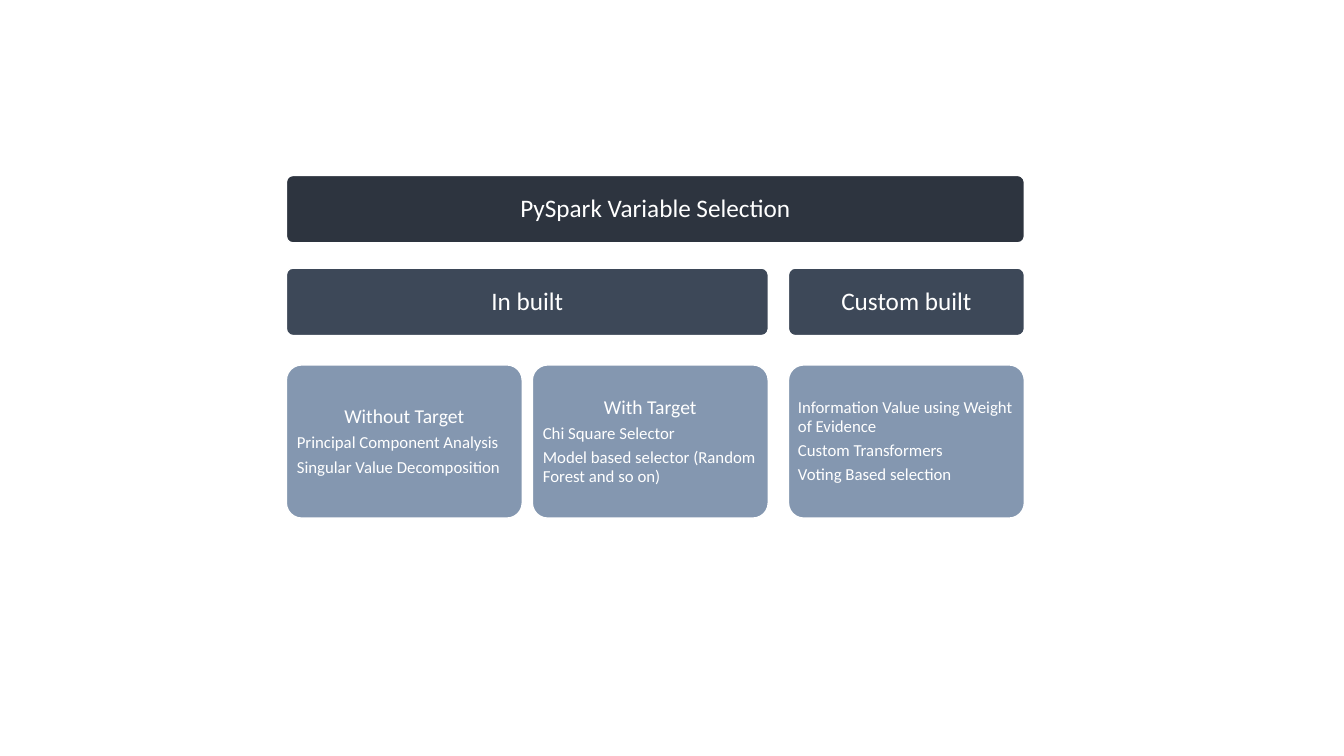
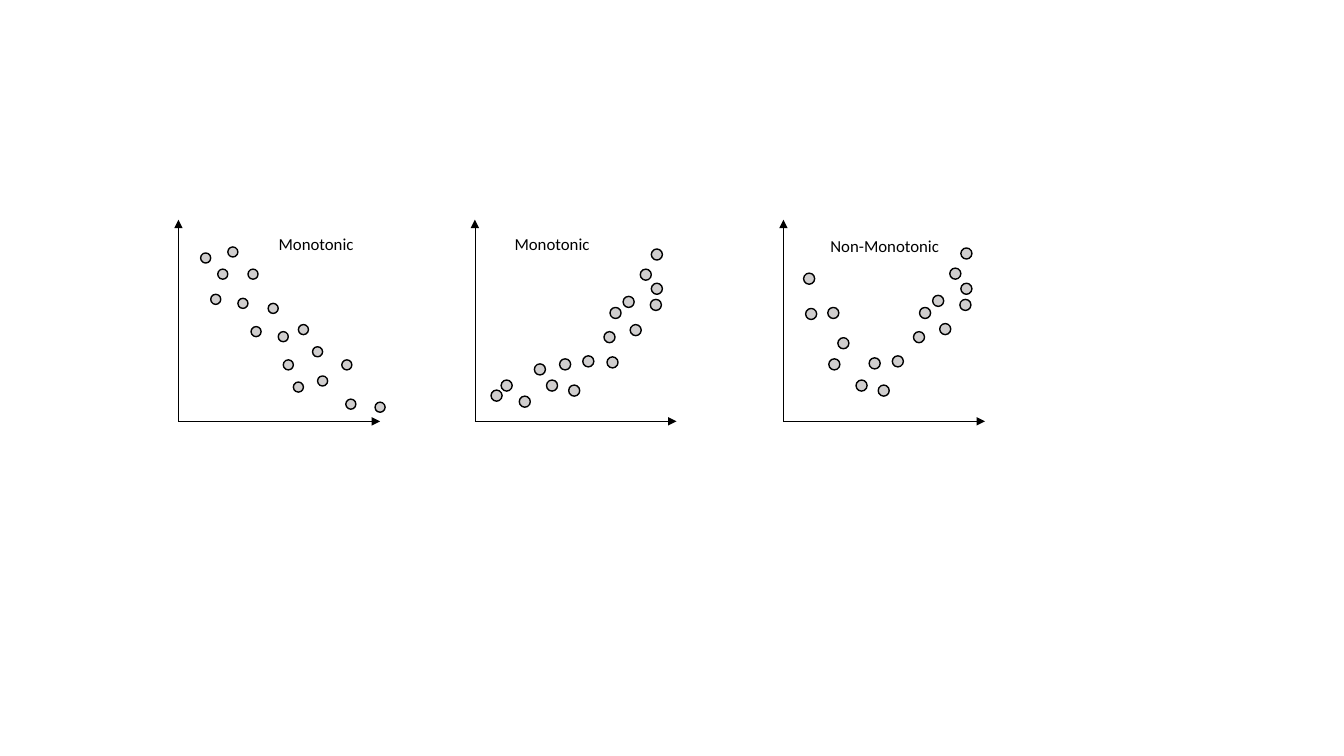
import pptx
import pptx.util
import pptx.dml.color
import pptx.enum.shapes
import pptx.enum.text
import lxml.etree

C = {"top": "222A35", "group": "333F50", "leaf": "8497B0",
     "white": "FFFFFF", "black": "000000", "dot": "D0CECE"}
FONT = "Calibri"
A = "{http://schemas.openxmlformats.org/drawingml/2006/main}"
SHAPE = pptx.enum.shapes.MSO_SHAPE
ALIGN = pptx.enum.text.PP_ALIGN
Inches, Pt = pptx.util.Inches, pptx.util.Pt
RGB = pptx.dml.color.RGBColor.from_string


def add_shape(s, kind, x, y, w, h, fill, line):
    sp = s.shapes.add_shape(kind, Inches(x), Inches(y), Inches(w), Inches(h))
    sp.shadow.inherit = False
    sp.fill.solid()
    sp.fill.fore_color.rgb = RGB(C[fill])
    sp.line.color.rgb = RGB(C[line])
    sp.line.width = Pt(1)
    return sp


def add_text(p, text, size, color, align):
    p.alignment = align
    r = p.add_run()
    r.text = text
    r.font.size = Pt(size)
    r.font.name = FONT
    r.font.color.rgb = RGB(C[color])


prs = pptx.Presentation()
prs.slide_width, prs.slide_height = Inches(13.33), Inches(7.5)
blank = prs.slide_layouts[6]

s = prs.slides.add_slide(blank)
COL_W = 2.34
COL_X = [2.84, 5.28, 7.82]
ROWS = [(1.74, 0.67), (2.66, 0.67), (3.62, 1.52)]
HEAD, SUB, ITEM = 18, 14, 12
boxes = [
    (0, 0, 2, "top", 0.07, [("PySpark Variable Selection", HEAD)]),
    (1, 0, 1, "group", 0.07, [("In built", HEAD)]),
    (1, 2, 2, "group", 0.07, [("Custom built", HEAD)]),
    (2, 0, 0, "leaf", 0.06, [("Without Target", SUB),
                             ("Principal Component Analysis", ITEM),
                             ("Singular Value Decomposition", ITEM)]),
    (2, 1, 1, "leaf", 0.06, [("With Target", SUB),
                             ("Chi Square Selector", ITEM),
                             ("Model based selector (Random Forest and so on)", ITEM)]),
    (2, 2, 2, "leaf", 0.05, [("Information Value using Weight of Evidence", ITEM),
                             ("Custom Transformers", ITEM),
                             ("Voting Based selection", ITEM)]),
]
for row, first, last, fill, inset, lines in boxes:
    y, h = ROWS[row]
    x = COL_X[first]
    sp = add_shape(s, SHAPE.ROUNDED_RECTANGLE, x, y, COL_X[last] + COL_W - x, h, fill, "white")
    sp.adjustments[0] = 0.1
    if fill != "leaf":
        color = sp.fill._xPr.find(f"{A}solidFill/{A}srgbClr")
        lxml.etree.SubElement(color, f"{A}alpha", val="95000")
    tf = sp.text_frame
    tf.word_wrap = True
    tf.vertical_anchor = pptx.enum.text.MSO_ANCHOR.MIDDLE
    tf.margin_left = tf.margin_right = tf.margin_top = tf.margin_bottom = Inches(inset)
    for i, (text, size) in enumerate(lines):
        p = tf.add_paragraph() if i else tf.paragraphs[0]
        p.line_spacing = 0.9
        p.space_after = Pt(0.35 * size)
        add_text(p, text, size, "white", ALIGN.LEFT if size == ITEM else ALIGN.CENTER)

s = prs.slides.add_slide(blank)
AXIS = 2
STEP = AXIS / 200
TOP = 2.18
LABEL_W, LABEL_H = 2.15, 0.3
plots = [
    (1.77, 0.1, "Monotonic", 2.06, 2.27,
     [(22, 33), (39, 49), (59, 78), (89, 83), (72, 106), (99, 111),
      (104, 139), (114, 161), (133, 126), (119, 104), (49, 27), (32, 74),
      (69, 49), (162, 139), (138, 155), (166, 178), (195, 181)]),
    (4.71, 0.11, "Monotonic", 4.4, 2.27,
     [(16, 169), (71, 159), (84, 138), (107, 135), (131, 136), (59, 143),
      (147, 76), (175, 29), (154, 104), (134, 87), (44, 175), (26, 159),
      (93, 164), (174, 79), (164, 49), (128, 111), (175, 63)]),
    (7.77, 0.11, "Non-Monotonic", 7.7, 2.29,
     [(20, 53), (72, 159), (85, 137), (108, 135), (45, 138), (54, 117),
      (148, 75), (176, 28), (155, 103), (135, 87), (22, 88), (44, 87),
      (94, 164), (175, 79), (165, 48), (129, 111), (176, 63)]),
]
for left, size, label, label_x, label_y, dots in plots:
    base = TOP + AXIS
    for end_x, end_y in [(left, TOP), (left + AXIS, base)]:
        cx = s.shapes.add_connector(pptx.enum.shapes.MSO_CONNECTOR.STRAIGHT,
                                    Inches(left), Inches(base), Inches(end_x), Inches(end_y))
        cx.line.color.rgb = RGB(C["black"])
        cx.line.width = Pt(0.5)
        lxml.etree.SubElement(cx.line._get_or_add_ln(), f"{A}tailEnd", type="triangle")
        lxml.etree.SubElement(cx._element.spPr, f"{A}effectLst")
    for dx, dy in dots:
        add_shape(s, SHAPE.OVAL, left + dx * STEP, TOP + dy * STEP, size, size, "dot", "black")
    tb = s.shapes.add_textbox(Inches(label_x), Inches(label_y), Inches(LABEL_W), Inches(LABEL_H))
    tf = tb.text_frame
    tf.word_wrap = True
    tf.auto_size = pptx.enum.text.MSO_AUTO_SIZE.SHAPE_TO_FIT_TEXT
    add_text(tf.paragraphs[0], label, 12, "black", ALIGN.CENTER)

prs.save("out.pptx")
